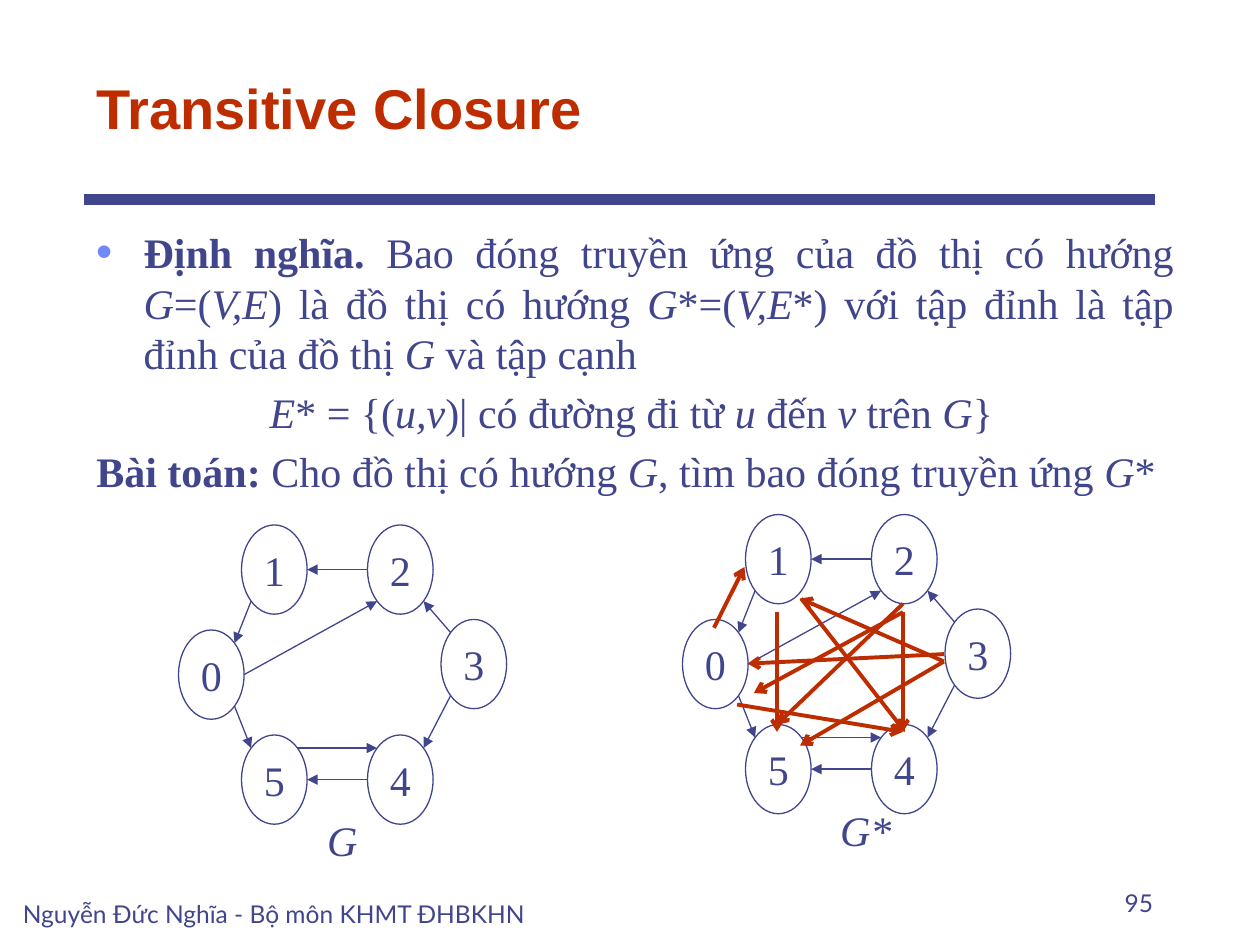
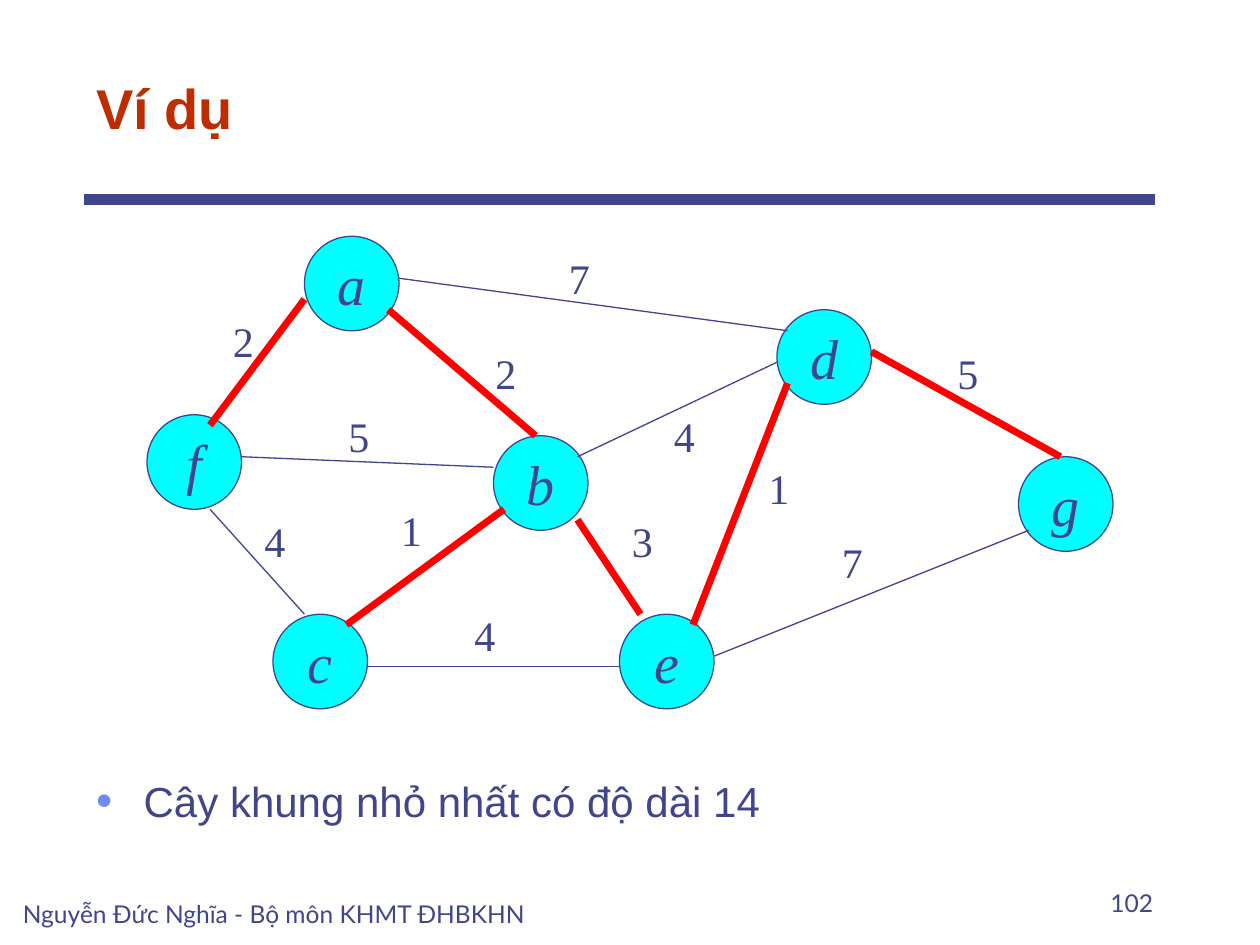
from math import cos, radians, sin

from lxml.etree import SubElement
from pptx import Presentation
from pptx.dml.color import RGBColor
from pptx.enum.shapes import MSO_CONNECTOR as Connector, MSO_SHAPE as Shape
from pptx.enum.text import MSO_ANCHOR as Anchor, PP_ALIGN as Align
from pptx.oxml.ns import qn
from pptx.util import Pt

# Shared style
PX = 7620  # EMU per px, 120 px to the inch
NAVY, RUST, RED, CYAN, PERIWINKLE = "40458C", "BE2D00", "FF0000", "00FFFF", "6F89F7"
SERIF, SANS, SMALL = "Times New Roman", "Arial", "Lato"
FOOTER = "Nguyễn Đức Nghĩa - Bộ môn KHMT ĐHBKHN"


def px(*lengths):
    return [round(length * PX) for length in lengths]


def color(value):
    return RGBColor.from_string(value)


def write(para, text, lead="", font=SERIF, size=24, ink=NAVY, bold=False,
          italic=False, align=Align.LEFT, margin=0, bullet=False, before=0):
    """Fill a paragraph; underscores switch italics, lead is a bold opening."""
    para.alignment = align
    para.space_before = Pt(before)
    props = para._p.get_or_add_pPr()
    props.set("marL", str(px(margin)[0]))
    if bullet:
        props.set("indent", str(-px(margin)[0]))
        tint = SubElement(props, qn("a:buClr"))
        SubElement(tint, qn("a:srgbClr"), val=PERIWINKLE)
        SubElement(props, qn("a:buSzPct"), val="110000")
        SubElement(props, qn("a:buFont"), typeface=SANS)
        SubElement(props, qn("a:buChar"), char="•")
    parts = [(lead, True, False)]
    parts += [(part, bold, italic or i % 2 == 1) for i, part in enumerate(text.split("_"))]
    for part, is_bold, is_italic in parts:
        if part:
            span = para.add_run()
            span.text = part
            span.font.name, span.font.size = font, Pt(size)
            span.font.bold, span.font.italic = is_bold, is_italic
            span.font.color.rgb = color(ink)


class SlideBuilder:
    def __init__(self):
        self.deck = Presentation()
        self.deck.slide_width, self.deck.slide_height = px(1200, 900)
        self.slide = None

    def page(self, title, number):
        self.slide = self.deck.slides.add_slide(self.deck.slide_layouts[6])
        self.line((80, 190), (1100, 190), width=6)
        self.text(80, 40, 1020, 100, title, anchor=Anchor.BOTTOM,
                  font=SANS, size=32, ink=RUST, bold=True)
        small = dict(anchor=Anchor.BOTTOM, font=SMALL, size=14)
        self.text(10, 830, 560, 60, FOOTER, **small)
        self.text(860, 820, 250, 60, str(number), align=Align.RIGHT, **small)

    def box(self, left, top, width, height, anchor=Anchor.TOP, wrap=True):
        frame = self.slide.shapes.add_textbox(*px(left, top, width, height)).text_frame
        frame.word_wrap, frame.vertical_anchor = wrap, anchor
        return frame

    def text(self, left, top, width, height, text, anchor=Anchor.TOP, wrap=True, **style):
        write(self.box(left, top, width, height, anchor, wrap).paragraphs[0], text, **style)

    def node(self, left, top, width, height, label, fill=None, **style):
        oval = self.slide.shapes.add_shape(Shape.OVAL, *px(left, top, width, height))
        oval.shadow.inherit = False
        if fill:
            oval.fill.solid()
            oval.fill.fore_color.rgb = color(fill)
        else:
            oval.fill.background()
        oval.line.color.rgb, oval.line.width = color(NAVY), Pt(0.75)
        frame = oval.text_frame
        frame.word_wrap, frame.vertical_anchor = False, Anchor.MIDDLE
        write(frame.paragraphs[0], label, align=Align.CENTER, **style)

    def line(self, start, end, ink=NAVY, width=0.75, arrow=None):
        link = self.slide.shapes.add_connector(Connector.STRAIGHT, *px(*start, *end))
        link.line.color.rgb, link.line.width = color(ink), Pt(width)
        if arrow:
            SubElement(link.line._get_or_add_ln(), qn("a:tailEnd"), type=arrow)
        SubElement(link._element.spPr, qn("a:effectLst"))


# Directed graph G, and the arcs its closure adds
NODE_W, NODE_H = 62.5, 85
VERTICES = [(170, 600), (230, 500), (350, 500), (420, 590), (350, 700), (230, 700)]
BEARING = {"e": 0, "se": 45, "sw": 135, "w": 180, "nw": 225, "ne": 315}
ARCS = [(1, "sw", 0, "ne"), (2, "w", 1, "e"), (3, "nw", 2, "se"), (3, "sw", 4, "ne"),
        (4, "w", 5, "e"), (5, "ne", 4, "nw"), (0, "se", 5, "nw"), (0, "e", 2, "sw")]
CLOSURE_ARCS = [
    ((763, 570), (862, 697)), ((860, 583), (718, 660)), ((860, 575), (740, 690)),
    ((740, 583), (740, 697)), ((860, 583), (860, 697)), ((899, 630), (762, 570)),
    ((899, 623), (712, 632)), ((899, 630), (762, 710)), ((702, 671), (860, 697)),
    ((680, 598), (709, 540))]


def rim(corner, side):
    angle = radians(BEARING[side])
    return (corner[0] + NODE_W / 2 * (1 + cos(angle)),
            corner[1] + NODE_H / 2 * (1 + sin(angle)))


def directed_graph(show, shift_x, shift_y):
    corners = [(x + shift_x, y + shift_y) for x, y in VERTICES]
    for number, corner in enumerate(corners):
        show.node(*corner, NODE_W, NODE_H, str(number))
    for source, leave, target, enter in ARCS:
        show.line(rim(corners[source], leave), rim(corners[target], enter), arrow="triangle")


def closure_slide(show):
    show.page("Transitive Closure", 95)
    # Definition and problem
    body = show.box(80, 210, 1050, 280)
    write(body.paragraphs[0],
          "Bao đóng truyền ứng của đồ thị có hướng _G_=(_V,E_) là đồ thị có hướng "
          "_G_*=(_V,E_*) với tập đỉnh là tập đỉnh của đồ thị _G_ và tập cạnh",
          lead="Định nghĩa. ", align=Align.JUSTIFY, margin=45, bullet=True)
    write(body.add_paragraph(), "_E_* = {(_u,v_)| có đường đi từ _u_ đến _v_ trên _G_}",
          margin=165, before=4.8)
    write(body.add_paragraph(), "Cho đồ thị có hướng _G_, tìm bao đóng truyền ứng _G_*",
          lead="Bài toán: ", before=4.8)
    # Both graphs with their names
    directed_graph(show, 0, 0)
    directed_graph(show, 480, -10)
    for left, top, width, name in [(788, 760, 73, "G*"), (299, 770, 54, "G")]:
        show.text(left, top, width, 60, name, wrap=False, italic=True, align=Align.CENTER)
    for start, end in CLOSURE_ARCS:
        show.line(start, end, ink=RUST, width=2.25, arrow="arrow")


# Weighted graph: start, end, weight, weight position
CITIES = {"f": (140, 395), "d": (740, 295), "a": (290, 225), "b": (470, 415),
          "c": (260, 585), "e": (590, 585), "g": (970, 435)}
OTHER_EDGES = [
    ((200, 485), (290, 585), 4, (240, 485)), ((380, 265), (750, 315), 7, (530, 235)),
    ((350, 635), (590, 635), 4, (440, 575)), ((680, 625), (980, 505), 7, (790, 505)),
    ((550, 435), (740, 345), 4, (630, 385)), ((230, 435), (470, 445), 5, (320, 385))]
TREE_EDGES = [
    ((290, 285), (200, 405), 2, (210, 295)), ((370, 295), (510, 415), 2, (460, 325)),
    ((480, 485), (330, 595), 1, (370, 475)), ((550, 495), (610, 585), 3, (590, 485)),
    ((750, 365), (660, 595), 1, (720, 435)), ((830, 335), (1010, 435), 5, (900, 325))]


def spanning_tree_slide(show):
    show.page("Ví dụ", 102)
    show.text(80, 733, 1050, 58, "Cây khung nhỏ nhất có độ dài 14",
              font=SANS, margin=45, bullet=True)
    for name, corner in CITIES.items():
        show.node(*corner, 90, 90, name, fill=CYAN, size=32, italic=True)
    # Tree edges lie on top in red
    for edges, ink, width in [(OTHER_EDGES, NAVY, 0.75), (TREE_EDGES, RED, 4)]:
        for start, end, weight, place in edges:
            show.text(*place, 44, 60, str(weight), wrap=False)
            show.line(start, end, ink=ink, width=width)


def main():
    show = SlideBuilder()
    closure_slide(show)
    spanning_tree_slide(show)
    show.deck.save("out.pptx")


if __name__ == "__main__":
    main()
